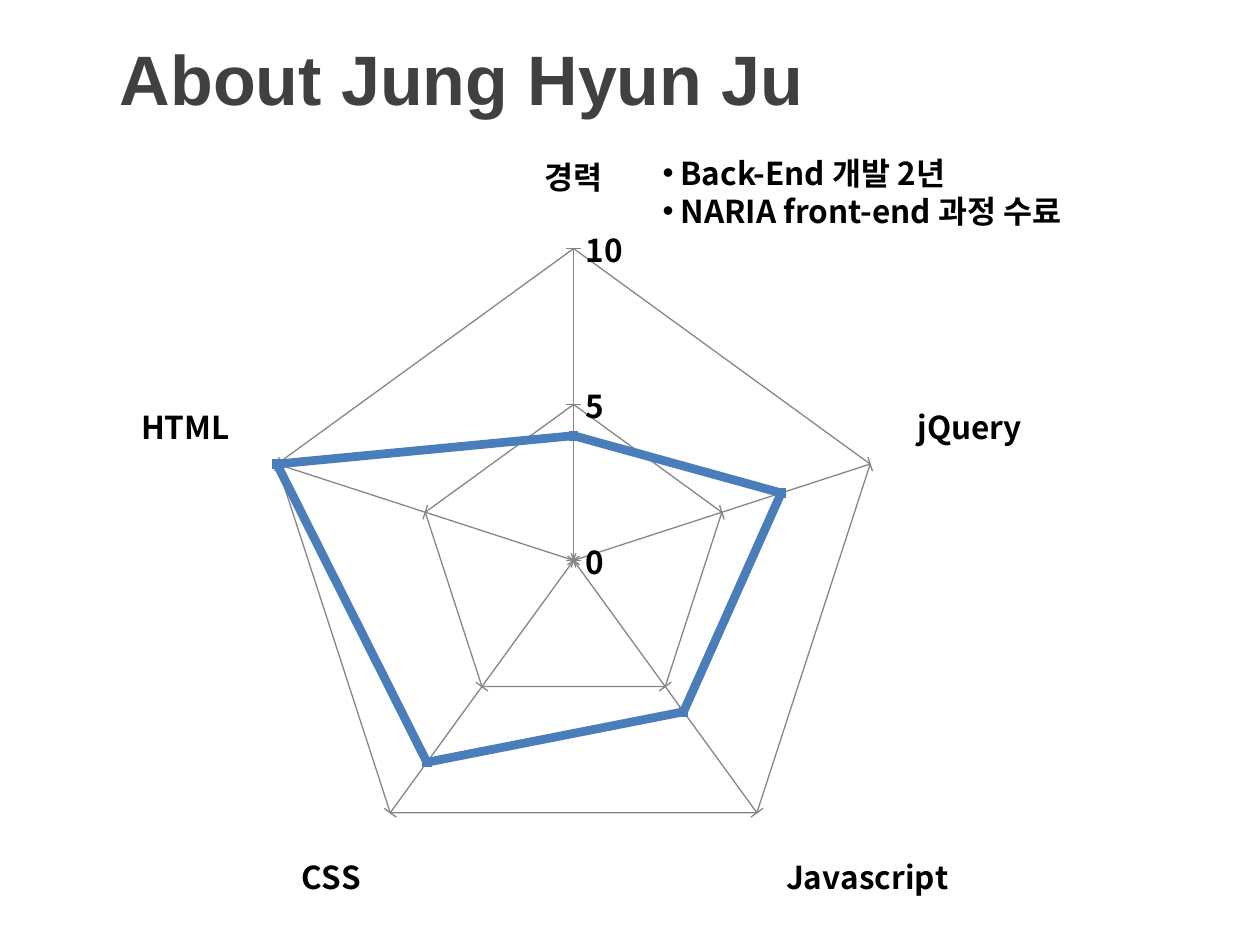
from dataclasses import dataclass

from lxml import etree
from pptx import Presentation
from pptx.chart.data import CategoryChartData
from pptx.dml.color import RGBColor
from pptx.enum.chart import XL_CHART_TYPE, XL_TICK_MARK
from pptx.enum.text import MSO_ANCHOR
from pptx.oxml.ns import qn
from pptx.util import Cm, Pt

RADAR = XL_CHART_TYPE.RADAR
CROSS = XL_TICK_MARK.CROSS
MIDDLE = MSO_ANCHOR.MIDDLE


@dataclass(frozen=True)
class Theme:
    title_font: str = "Arial"
    body_font: str = "Noto Sans CJK KR"
    title_size: int = 40
    body_size: int = 18
    title_color: str = "404040"
    body_color: str = "000000"
    grid_color: str = "868686"
    series_color: str = "4A7EBB"
    grid_width: float = 0.75
    series_width: float = 5


THEME = Theme()
SKILLS = {"경력": 4, "jQuery": 7, "Javascript": 6, "CSS": 8, "HTML": 10}
CAREER = ["Back-End 개발 2년", "NARIA front-end 과정 수료"]


def apply(target, values):
    for name, value in values.items():
        setattr(target, name, value)


def style_font(font, name, size, color):
    apply(font, {"name": name, "size": Pt(size), "bold": True})
    font.color.rgb = RGBColor.from_string(color)


def style_body(font):
    style_font(font, THEME.body_font, THEME.body_size, THEME.body_color)


def set_east_asian(properties):
    latin = properties.find(qn("a:latin"))
    east_asian = etree.Element(qn("a:ea"), typeface=THEME.body_font)
    latin.addnext(east_asian)


def style_line(line, color, width):
    line.color.rgb = RGBColor.from_string(color)
    line.width = Pt(width)


def add_title(slide, box, text):
    frame = slide.shapes.add_textbox(*box).text_frame
    apply(frame, {"word_wrap": True, "vertical_anchor": MIDDLE,
                  "margin_left": Cm(0.64)})
    run = frame.paragraphs[0].add_run()
    run.text = text
    style_font(run.font, THEME.title_font, THEME.title_size, THEME.title_color)


def add_skill_chart(slide, box, skills):
    data = CategoryChartData()
    data.categories = list(skills)
    data.add_series("Series 1", list(skills.values()))
    chart = slide.shapes.add_chart(RADAR, *box, data).chart
    apply(chart, {"has_legend": False, "has_title": False})
    style_body(chart.font)
    for properties in chart.element.iter(qn("a:defRPr")):
        set_east_asian(properties)
    apply(chart.value_axis, {"minimum_scale": 0, "maximum_scale": 10,
                             "major_unit": 5})
    for axis in (chart.category_axis, chart.value_axis):
        apply(axis, {"major_tick_mark": CROSS, "has_major_gridlines": True})
        for line in (axis.format.line, axis.major_gridlines.format.line):
            style_line(line, THEME.grid_color, THEME.grid_width)
    series = chart.plots[0].series[0]
    series.smooth = False
    series.marker.style = None
    style_line(series.format.line, THEME.series_color, THEME.series_width)


def add_career_list(slide, box, items):
    frame = slide.shapes.add_textbox(*box).text_frame
    frame.word_wrap = True
    for index, item in enumerate(items):
        paragraph = frame.add_paragraph() if index else frame.paragraphs[0]
        paragraph.line_spacing = Pt(21.7)
        properties = paragraph._p.get_or_add_pPr()
        properties.set("marL", str(Cm(0.36)))
        properties.set("indent", str(-Cm(0.36)))
        etree.SubElement(properties, qn("a:buFont"), typeface="Arial")
        etree.SubElement(properties, qn("a:buChar"), char="•")
        run = paragraph.add_run()
        run.text = item
        style_body(run.font)
        set_east_asian(run._r.get_or_add_rPr())


def build_profile_slide(presentation):
    slide = presentation.slides.add_slide(presentation.slide_layouts[6])
    add_title(slide, (Cm(1.78), Cm(0.05), Cm(23.62), Cm(3.02)),
              "About Jung Hyun Ju")
    add_skill_chart(slide, (Cm(1), Cm(2.77), Cm(21.44), Cm(15.67)), SKILLS)
    add_career_list(slide, (Cm(13.11), Cm(2.97), Cm(8.94), Cm(2.57)), CAREER)


presentation = Presentation()
apply(presentation, {"slide_width": Cm(25.4), "slide_height": Cm(19.05)})
build_profile_slide(presentation)
presentation.save("out.pptx")
